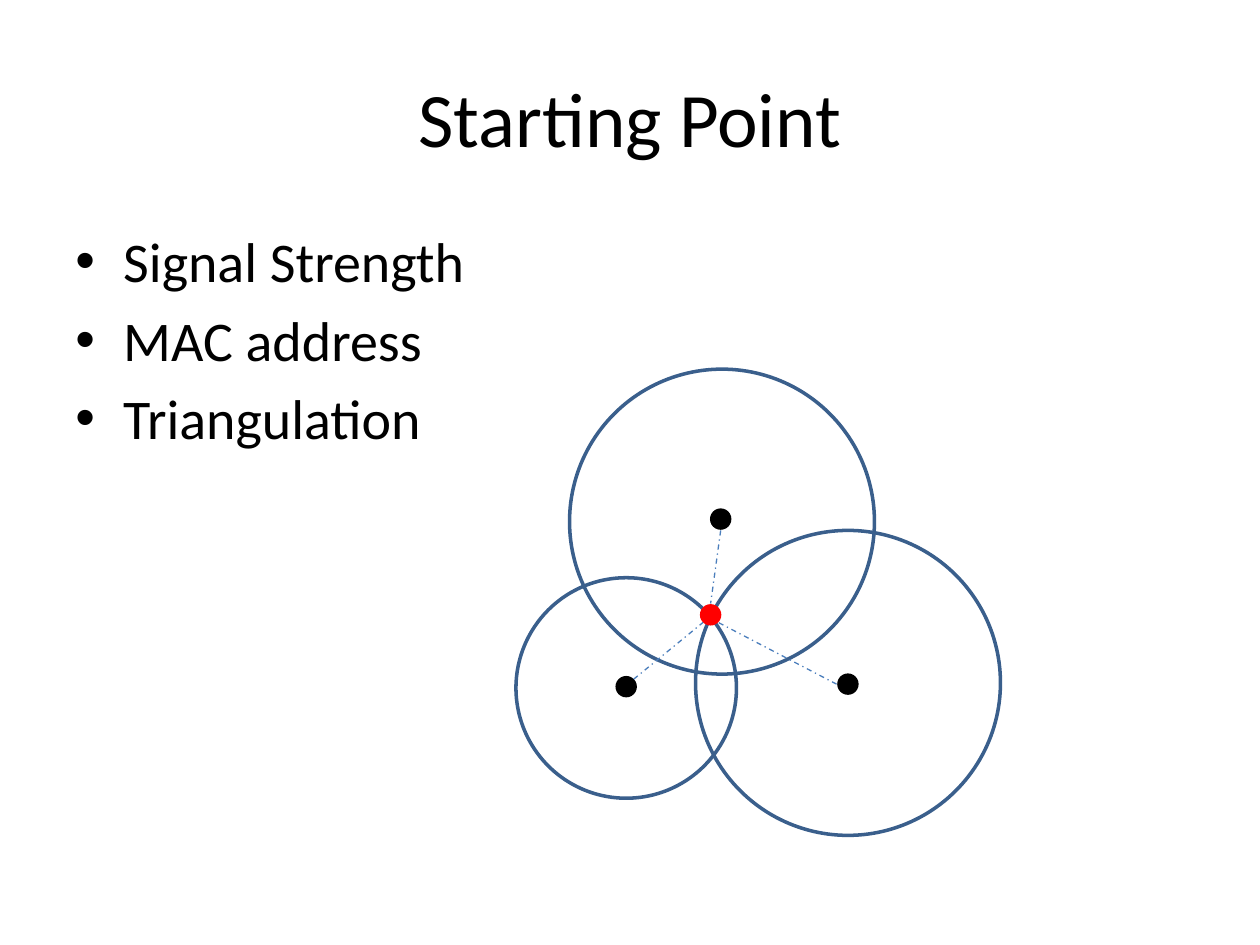
from lxml.etree import SubElement as Sub
from pptx import Presentation
from pptx.dml.color import RGBColor as RGB
from pptx.enum.dml import MSO_LINE as Dash
from pptx.enum.shapes import MSO_CONNECTOR as Conn, MSO_SHAPE as Kind
from pptx.enum.text import MSO_ANCHOR as Anchor, PP_ALIGN as Align
from pptx.oxml.ns import qn
from pptx.util import Inches, Pt

BLACK, RED = RGB(0, 0, 0), RGB(255, 0, 0)
RING, BEAM = RGB(0x3A, 0x5F, 0x8C), RGB(0x4B, 0x7E, 0xBC)
WIDE, HIGH, EDGE = 10, 7.5, 0.05
DOT, HANG = 0.17, 0.38

TITLE = "Starting Point"
ITEMS = ["Signal Strength", "MAC address", "Triangulation"]
RINGS = [(4.97, 5.46, 1.75), (6.73, 5.42, 2.42), (5.73, 4.14, 2.42)]
DOTS = [(5.72, 4.12, BLACK), (6.73, 5.43, BLACK), (4.97, 5.45, BLACK), (5.64, 4.88, RED)]
BEAMS = [(5.72, 4.21, 5.64, 4.79), (6.64, 5.43, 5.7, 4.94), (5.03, 5.39, 5.58, 4.94)]


def style(obj, form):
    for key, val in form.items():
        setattr(obj, key, val)


def place(obj, top, high):
    box = {"left": EDGE * WIDE, "top": top * HIGH, "width": (1 - 2 * EDGE) * WIDE, "height": high * HIGH}
    style(obj, {key: Inches(val) for key, val in box.items()})


def write(par, text, size):
    par.text = text
    style(par.font, {"name": "Calibri", "size": Pt(size)})
    par.font.color.rgb = BLACK


def bullet(par):
    prop = par._p.get_or_add_pPr()
    prop.set("marL", str(Inches(HANG)))
    prop.set("indent", str(-Inches(HANG)))
    Sub(prop, qn("a:buFont"), typeface="Arial")
    Sub(prop, qn("a:buChar"), char="•")


def disc(group, x, y, size):
    box = [Inches(v) for v in (x - size / 2, y - size / 2, size, size)]
    shape = group.shapes.add_shape(Kind.OVAL, *box)
    shape.shadow.inherit = False
    return shape


deck = Presentation()
style(deck, {"slide_width": Inches(WIDE), "slide_height": Inches(HIGH)})
slide = deck.slides.add_slide(deck.slide_layouts[5])

title = slide.shapes.title
place(title, 0.04, 1 / 6)
title.text_frame.vertical_anchor = Anchor.MIDDLE
write(title.text_frame.paragraphs[0], TITLE, 44)
title.text_frame.paragraphs[0].alignment = Align.CENTER

body = slide.shapes.add_textbox(0, 0, 0, 0)
place(body, 0.7 / 3, 0.66)
frame = body.text_frame
frame.word_wrap = True
for i, item in enumerate(ITEMS):
    par = frame.add_paragraph() if i else frame.paragraphs[0]
    write(par, item, 32)
    par.space_before = Pt(32 * 0.2)
    bullet(par)

group = slide.shapes.add_group_shape()
for x, y, size in RINGS:
    ring = disc(group, x, y, size)
    ring.fill.background()
    ring.line.color.rgb = RING
    ring.line.width = Pt(2)

for x, y, color in DOTS:
    dot = disc(group, x, y, DOT)
    dot.fill.solid()
    dot.fill.fore_color.rgb = color
    dot.line.fill.background()

for ends in BEAMS:
    beam = group.shapes.add_connector(Conn.STRAIGHT, *[Inches(v) for v in ends])
    beam.line.color.rgb = BEAM
    style(beam.line, {"width": Pt(0.75), "dash_style": Dash.DASH_DOT})
    Sub(beam._element.spPr, qn("a:effectLst"))

deck.save("out.pptx")
